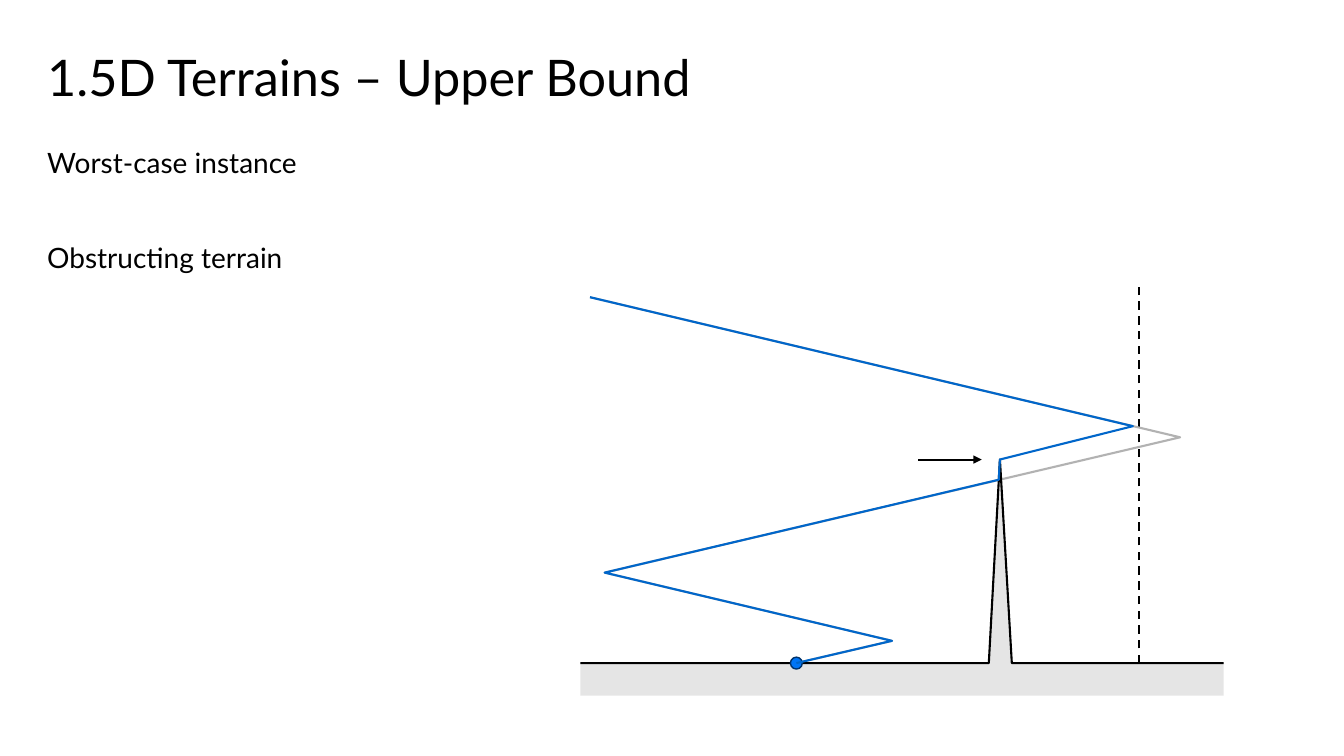
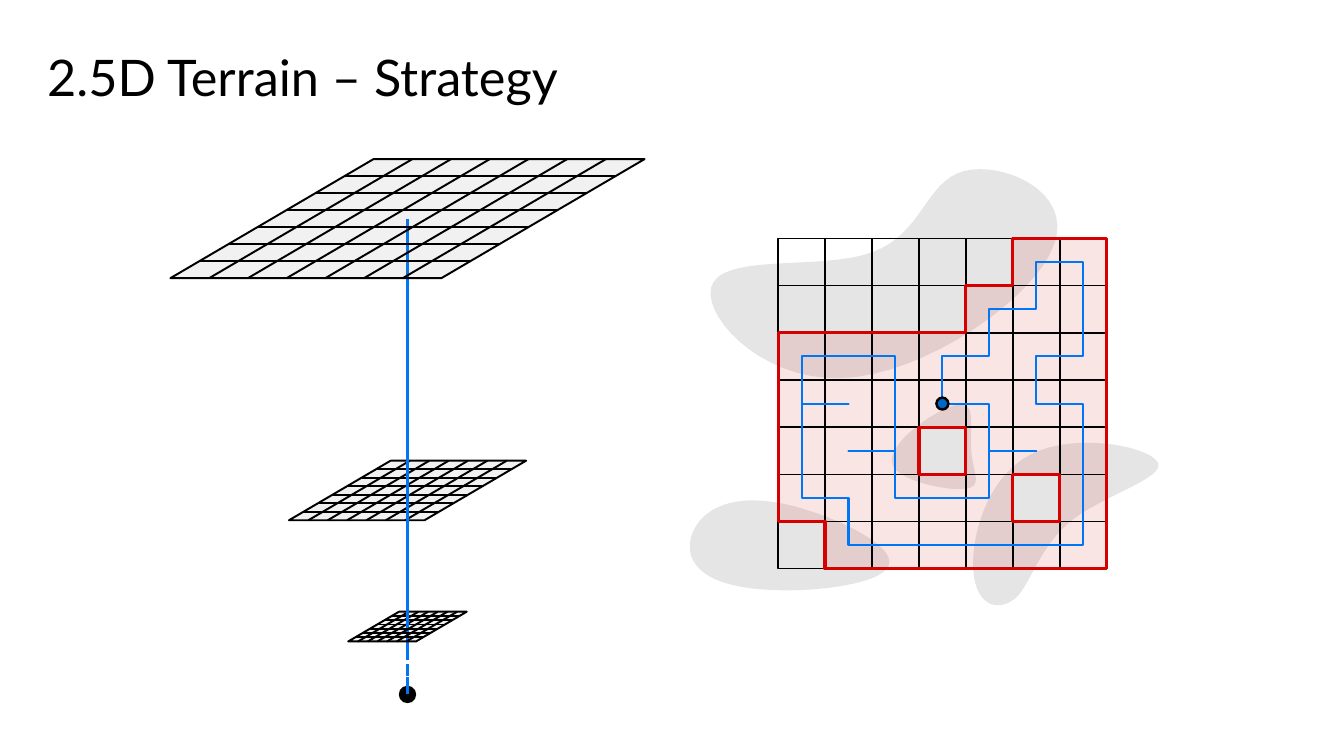
"""Build two slides on search strategies in 1.5D and 2.5D terrains."""
from dataclasses import dataclass
from typing import NamedTuple, Optional, Sequence

from lxml.etree import SubElement
from pptx import Presentation
from pptx.dml.color import RGBColor
from pptx.enum.dml import MSO_LINE_DASH_STYLE as Dash
from pptx.enum.shapes import MSO_CONNECTOR as Connector, MSO_SHAPE as Preset
from pptx.enum.text import MSO_ANCHOR as Anchor
from pptx.oxml.ns import qn
from pptx.slide import Slide
from pptx.util import Cm, Pt

BLACK = RGBColor(0x00, 0x00, 0x00)
GROUND = RGBColor(0xE5, 0xE5, 0xE5)
IDEAL = RGBColor(0xB2, 0xB2, 0xB2)
PLANE = RGBColor(0x7F, 0x7F, 0x7F)
RED = RGBColor(0xD5, 0x00, 0x00)
BLUE = RGBColor(0x00, 0x75, 0xF6)
DEEP_BLUE = RGBColor(0x00, 0x66, 0xCA)
NAVY = RGBColor(0x00, 0x33, 0x6C)
FONT = "Lato"
CELLS = 7

Point = tuple[float, float]


class Stroke(NamedTuple):
    """Colour, width in points and optional ends of a line."""

    color: RGBColor
    width: float
    dashed: bool = False
    arrow: bool = False


class Fill(NamedTuple):
    """Colour and opacity in percent of an area."""

    color: RGBColor
    opacity: int = 100


@dataclass(frozen=True)
class Plane:
    """A horizontal grid seen at an angle, centred on the flight axis."""

    center_y: float
    scale: float


@dataclass(frozen=True)
class Map:
    """The square grid seen from above."""

    left: float = 19.61
    top: float = 6.01
    width: float = 8.28
    height: float = 8.32

    def at(self, column: float, row: float) -> Point:
        """Return the slide position of a grid coordinate."""
        return (self.left + self.width * column / CELLS,
                self.top + self.height * row / CELLS)


GRID = Stroke(BLACK, 1.12)
PLANE_LINE = Stroke(BLACK, 1.38)
AXIS = Stroke(BLUE, 1.75)
AXIS_X = 10.27
BORDER = Stroke(RED, 2.25)

FLOOR = 16.71
PEAK = (25.2, 11.58)
START = (20.07, FLOOR)
FIRST_TURNS = [START, (22.48, 16.15), (15.24, 14.43)]
ESCAPE = (14.87, 7.49)
SURFACE = [(14.63, FLOOR), (24.92, FLOOR), PEAK, (25.5, FLOOR), (30.84, FLOOR)]

HILLS = [
    [(22, 6.35), (23.24, 5.89), (23.32, 4.6), (24.26, 4.32), (25.22, 4.04),
     (27.05, 4.8), (26.57, 6.15), (26.11, 7.49), (23.34, 9.45), (21.21, 9.53),
     (19.08, 9.6), (17.55, 7.8), (17.98, 7.11), (18.42, 6.4), (20.78, 6.81)],
    [(22.53, 11.79), (22.78, 12.14), (23.88, 12.37), (24.31, 12.32),
     (24.77, 12.27), (24.54, 11.94), (24.49, 11.48), (24.43, 11.05),
     (24.54, 10.49), (24.41, 10.29), (24.26, 10.08), (23.88, 10.24),
     (23.39, 10.54), (22.89, 10.87), (22.3, 11.4)],
    [(17.63, 13.13), (17.22, 13.64), (17.22, 14.43), (18.42, 14.73),
     (19.61, 15.04), (21.97, 14.83), (22.35, 14.33), (22.76, 13.84),
     (21.18, 13.06), (19.99, 12.75), (18.82, 12.45), (18.03, 12.65)],
    [(25.96, 11.46), (27.1, 10.87), (28.98, 11.25), (29.18, 11.66),
     (29.36, 12.04), (27.89, 12.45), (27.05, 13.08), (26.21, 13.74),
     (26.01, 14.63), (25.63, 15.04), (25.22, 15.42), (24.64, 15.32),
     (24.54, 14.48), (24.43, 13.64), (24.84, 12.04)],
]
REGION = [(0, 2), (4, 2), (4, 1), (5, 1), (5, 0), (7, 0), (7, 7), (1, 7),
          (1, 6), (0, 6)]
PEAK_CELLS = [(3, 4), (5, 5)]
TOUR = [(3, 3), (3, 2), (4, 2), (4, 1), (5, 1), (5, 0), (6, 0), (6, 2), (5, 2),
        (5, 3), (6, 3), (6, 6), (1, 6), (1, 5), (0, 5), (0, 3), (1, 3), (0, 3),
        (0, 2), (2, 2), (2, 4), (1, 4), (2, 4), (2, 5), (4, 5), (4, 4), (5, 4),
        (4, 4), (4, 3), (3, 3)]


def apply_stroke(line, stroke: Optional[Stroke]) -> None:
    """Set the line format, or hide the line."""
    if stroke is None:
        line.fill.background()
        return
    line.color.rgb = stroke.color
    line.width = Pt(stroke.width)
    if stroke.dashed:
        line.dash_style = Dash.DASH


def apply_fill(shape, fill: Optional[Fill]) -> None:
    """Set the area colour and opacity, or leave the area empty."""
    if fill is None:
        shape.fill.background()
        return
    shape.fill.solid()
    shape.fill.fore_color.rgb = fill.color
    if fill.opacity < 100:
        color = shape.fill._xPr.find(qn("a:solidFill"))[0]
        SubElement(color, qn("a:alpha")).set("val", str(fill.opacity * 1000))


def finish(shape, fill: Optional[Fill], stroke: Optional[Stroke]) -> None:
    """Give a shape its fill and line without a shadow."""
    shape.shadow.inherit = False
    apply_fill(shape, fill)
    apply_stroke(shape.line, stroke)


def add_line(slide: Slide, start: Point, end: Point, stroke: Stroke) -> None:
    """Draw a straight line, with an arrowhead if its stroke has one."""
    line = slide.shapes.add_connector(
        Connector.STRAIGHT, *(Cm(value) for value in (*start, *end)))
    apply_stroke(line.line, stroke)
    if stroke.arrow:
        SubElement(line.line._get_or_add_ln(), qn("a:tailEnd")).set("type", "triangle")
    SubElement(line._element.spPr, qn("a:effectLst"))


def add_outline(slide: Slide, points: Sequence[Point], *, closed: bool = False,
                fill: Optional[Fill] = None, stroke: Optional[Stroke] = None) -> None:
    """Draw a freeform through the given points."""
    corners = [(Cm(x), Cm(y)) for x, y in points]
    builder = slide.shapes.build_freeform(*corners[0])
    builder.add_line_segments(corners[1:], close=closed)
    finish(builder.convert_to_shape(), fill, stroke)


def add_dot(slide: Slide, center: Point, diameter: float, color: RGBColor,
            stroke: Optional[Stroke] = None) -> None:
    """Draw a filled circle around its centre."""
    x, y = center
    dot = slide.shapes.add_shape(
        Preset.OVAL, Cm(x - diameter / 2), Cm(y - diameter / 2), Cm(diameter), Cm(diameter))
    finish(dot, Fill(color), stroke)


def add_text(slide: Slide, lines: Sequence[str], *, top: float, height: float,
             size: float, anchor: Anchor = Anchor.TOP, spacing: float = 1,
             gap: float = 0) -> None:
    """Write paragraphs across the width of the slide."""
    frame = slide.shapes.add_textbox(Cm(0.94), Cm(top), Cm(32), Cm(height)).text_frame
    frame.word_wrap = True
    frame.vertical_anchor = anchor
    for index, line in enumerate(lines):
        paragraph = frame.add_paragraph() if index else frame.paragraphs[0]
        paragraph.line_spacing = spacing
        paragraph.space_before = Pt(gap if index else 0)
        run = paragraph.add_run()
        run.text = line
        run.font.name = FONT
        run.font.size = Pt(size)
        run.font.color.rgb = BLACK


def add_titled_slide(deck, title: str) -> Slide:
    """Add a blank slide with the shared title style."""
    slide = deck.slides.add_slide(deck.slide_layouts[6])
    add_text(slide, [title], top=1.02, height=2, size=36, anchor=Anchor.MIDDLE, spacing=0.9)
    return slide


def smooth_loop(controls: Sequence[Point], steps: int = 16) -> list[Point]:
    """Sample a closed chain of cubic Bézier curves."""
    loop = [*controls, controls[0]]
    points = [loop[0]]
    for first in range(0, len(controls), 3):
        curve = loop[first:first + 4]
        for step in range(1, steps + 1):
            t = step / steps
            weights = ((1 - t) ** 3, 3 * t * (1 - t) ** 2, 3 * t * t * (1 - t), t ** 3)
            points.append((sum(w * x for w, (x, _) in zip(weights, curve)),
                           sum(w * y for w, (_, y) in zip(weights, curve))))
    return points


def add_plane(slide: Slide, plane: Plane) -> None:
    """Draw a tilted grid plane."""
    width, slant, height = (plane.scale * size for size in (6.83, 5.12, 3))

    def at(column: float, row: float) -> Point:
        """Return the slide position of a plane coordinate."""
        u, v = column / CELLS - 0.5, row / CELLS - 0.5
        return AXIS_X + u * width - v * slant, plane.center_y + v * height

    corners = [at(0, CELLS), at(0, 0), at(CELLS, 0), at(CELLS, CELLS)]
    add_outline(slide, corners, closed=True, fill=Fill(PLANE, 10), stroke=PLANE_LINE)
    for index in range(1, CELLS):
        add_line(slide, at(index, 0), at(index, CELLS), PLANE_LINE)
        add_line(slide, at(0, index), at(CELLS, index), PLANE_LINE)


def add_axis(slide: Slide, top: float, bottom: float) -> None:
    """Draw one piece of the vertical flight axis."""
    add_line(slide, (AXIS_X, top), (AXIS_X, bottom), AXIS)


def add_map(slide: Slide, area: Map) -> None:
    """Draw the hills, the reachable region and the tour through its cells."""
    for hill in HILLS:
        add_outline(slide, smooth_loop(hill), closed=True, fill=Fill(GROUND))
    region = [area.at(*corner) for corner in REGION]
    add_outline(slide, region, closed=True, fill=Fill(RED, 10))
    for index in range(1, CELLS):
        add_line(slide, area.at(index, 0), area.at(index, CELLS), GRID)
        add_line(slide, area.at(0, index), area.at(CELLS, index), GRID)
    for column, row in PEAK_CELLS:
        cell = [area.at(column + x, row + y) for x, y in ((0, 0), (0, 1), (1, 1), (1, 0))]
        add_outline(slide, cell, closed=True, fill=Fill(GROUND), stroke=BORDER)
    frame = [area.at(x, y) for x, y in ((0, 0), (0, CELLS), (CELLS, CELLS), (CELLS, 0))]
    add_outline(slide, frame, closed=True, stroke=GRID)
    add_outline(slide, region, closed=True, stroke=BORDER)
    tour = [area.at(column + 0.5, row + 0.5) for column, row in TOUR]
    add_outline(slide, tour, stroke=Stroke(BLUE, 1.5))
    add_dot(slide, tour[0], 0.3, DEEP_BLUE, Stroke(BLACK, 1.75))


def build_upper_bound(deck) -> None:
    """Build the slide on the worst case in 1.5D."""
    slide = add_titled_slide(deck, "1.5D Terrains – Upper Bound")
    add_text(slide, ["Worst-case instance", "Obstructing terrain"],
             top=3.53, height=14.5, size=20, gap=44.5)
    add_line(slide, (28.7, FLOOR), (28.7, 7.24), Stroke(BLACK, 1.5, dashed=True))
    add_outline(slide, [*FIRST_TURNS, (29.74, 11.02), ESCAPE], stroke=Stroke(IDEAL, 1.5))
    soil = [*SURFACE, (30.84, 17.53), (14.63, 17.53)]
    add_outline(slide, soil, closed=True, fill=Fill(GROUND))
    add_outline(slide, SURFACE, stroke=Stroke(BLACK, 1.5))
    add_dot(slide, START, 0.3, BLUE, Stroke(NAVY, 1))
    flight = [*FIRST_TURNS, (25.17, 12.09), PEAK, (28.55, 10.74), ESCAPE]
    add_outline(slide, flight, stroke=Stroke(DEEP_BLUE, 1.5))
    add_line(slide, (23.14, PEAK[1]), (24.74, PEAK[1]), Stroke(BLACK, 1.5, arrow=True))


def build_strategy(deck) -> None:
    """Build the slide on the strategy in 2.5D."""
    slide = add_titled_slide(deck, "2.5D Terrain – Strategy")
    add_map(slide, Map())
    low, middle, high = Plane(15.79, 0.25), Plane(12.36, 0.5), Plane(5.51, 1)
    add_axis(slide, low.center_y, 16.64)
    for plane in (low, middle):
        add_plane(slide, plane)
    add_dot(slide, (AXIS_X, 17.5), 0.44, BLACK)
    add_axis(slide, middle.center_y, low.center_y)
    add_axis(slide, high.center_y, middle.center_y)
    add_plane(slide, high)
    for top, bottom in ((16.74, 17.04), (17.07, 17.5)):
        add_axis(slide, top, bottom)


def main() -> None:
    """Build and save the presentation."""
    deck = Presentation()
    deck.slide_width, deck.slide_height = Cm(33.87), Cm(19.05)
    build_upper_bound(deck)
    build_strategy(deck)
    deck.save("out.pptx")


if __name__ == "__main__":
    main()
